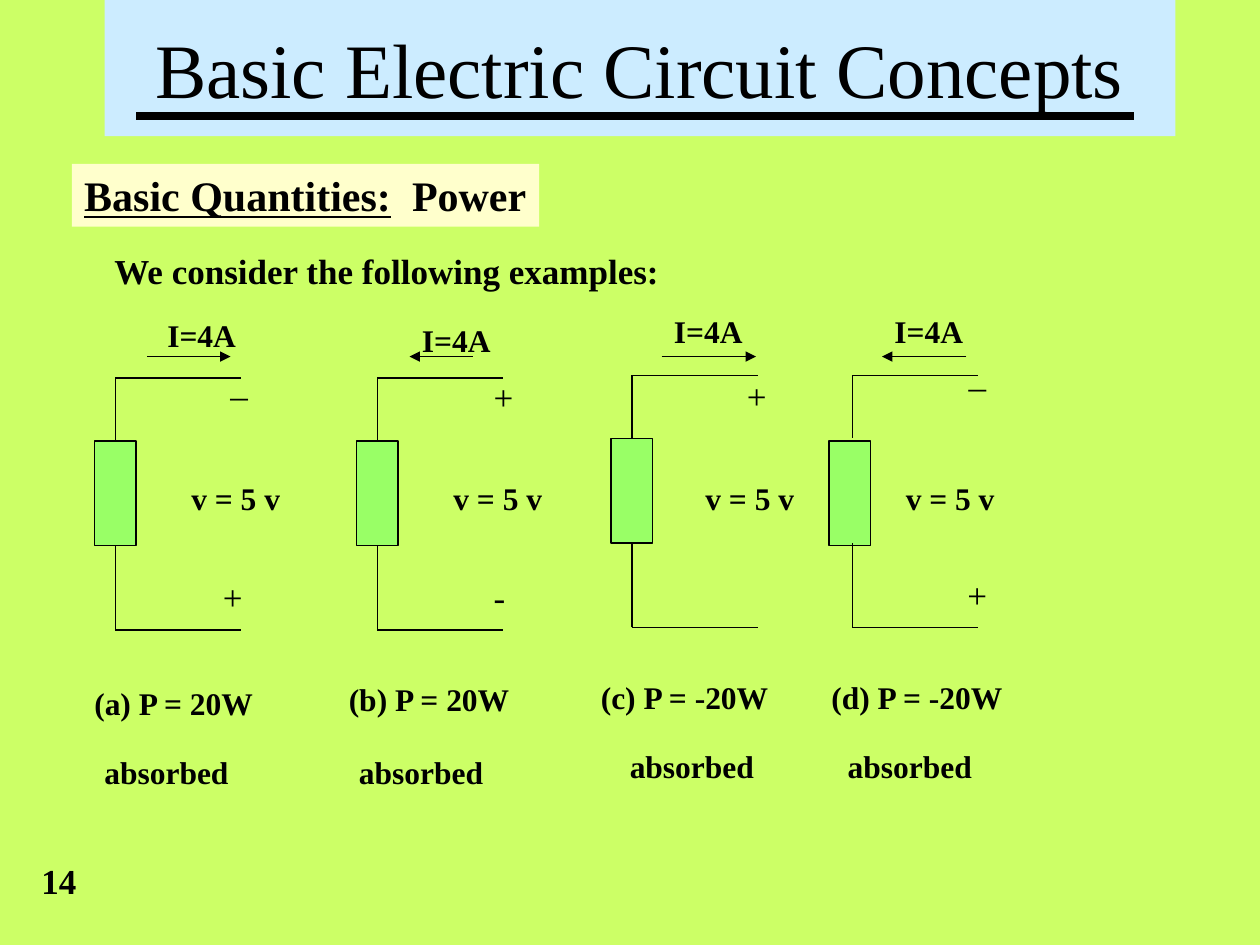
from dataclasses import dataclass
from typing import Optional

from lxml.etree import SubElement
from pptx import Presentation
from pptx.dml.color import RGBColor
from pptx.enum.shapes import MSO_CONNECTOR, MSO_SHAPE
from pptx.enum.text import MSO_ANCHOR, MSO_AUTO_SIZE, PP_ALIGN
from pptx.oxml.ns import qn
from pptx.shapes.autoshape import Shape
from pptx.shapes.connector import Connector
from pptx.util import Inches, Pt


@dataclass(frozen=True)
class Theme:
    page: RGBColor = RGBColor(0xCC, 0xFF, 0x66)
    banner: RGBColor = RGBColor(0xCC, 0xEC, 0xFF)
    label: RGBColor = RGBColor(0xFF, 0xFF, 0xCC)
    body: RGBColor = RGBColor(0x99, 0xFF, 0x66)
    ink: RGBColor = RGBColor(0, 0, 0)
    font: str = "Times New Roman"
    title: int = 44
    head: int = 24
    text: int = 20
    small: int = 18
    thin: float = 0.75
    thick: float = 4.5


@dataclass(frozen=True)
class Note:
    text: str
    x: float
    y: float
    width: float


@dataclass(frozen=True)
class Circuit:
    """Skew shifts the body away from its place on the wires."""
    x: float
    top: float
    arrow: tuple[float, float]
    signs: tuple[Note, ...]
    notes: tuple[Note, ...]
    skew: float = 0


THEME = Theme()
BODY_W, BODY_H = 0.33, 0.83
LEAD, REACH, DROP = 0.5, 1, 2
ARROW_Y = 2.83


def volt(x: float) -> Note:
    return Note("v = 5 v", x, 3.75, 0.92)


def amp(x: float, y: float) -> Note:
    return Note("I=4A", x, y, 0.76)


def power(text: str, x: float, y: float, width: float) -> Note:
    return Note(f"{text}W", x, y, width)


def result(x: float, y: float) -> Note:
    return Note("absorbed", x, y, 1.2)


CIRCUITS = (
    Circuit(0.75, 3, (1.17, 1.83),
            (Note("_", 1.73, 2.82, 0.34), Note("+", 1.67, 4.52, 0.35)),
            (volt(1.42), amp(1.23, 2.46),
             power("(a) P = 20", 0.65, 5.38, 1.48), result(0.73, 5.93))),
    Circuit(2.83, 3, (3.75, 3.25),
            (Note("+", 3.82, 2.93, 0.35), Note("-", 3.82, 4.52, 0.29)),
            (volt(3.5), amp(3.25, 2.5),
             power("(b) P = 20", 2.67, 5.35, 1.5), result(2.75, 5.93))),
    Circuit(4.85, 2.98, (5.25, 6),
            (Note("+", 5.83, 2.92, 0.35),),
            (volt(5.5), amp(5.25, 2.43),
             power("(c) P = -20", 4.67, 5.33, 1.55), result(4.9, 5.88))),
    Circuit(6.58, 2.98, (7.67, 7),
            (Note("_", 7.59, 2.75, 0.34), Note("+", 7.58, 4.5, 0.35)),
            (volt(7.09), amp(7, 2.43),
             power("(d) P = -20", 6.5, 5.33, 1.58), result(6.63, 5.88)),
            skew=0.02),
)


def add_box(slide, x: float, y: float, width: float, height: float,
            fill: RGBColor, edge: bool = False) -> Shape:
    box = slide.shapes.add_shape(MSO_SHAPE.RECTANGLE, Inches(x), Inches(y),
                                 Inches(width), Inches(height))
    box.shadow.inherit = False
    box.fill.solid()
    box.fill.fore_color.rgb = fill
    if edge:
        box.line.color.rgb = THEME.ink
        box.line.width = Pt(THEME.thin)
    else:
        box.line.fill.background()
    return box


def add_line(slide, x1: float, y1: float, x2: float, y2: float,
             width: float = THEME.thin, arrow: bool = False) -> Connector:
    line = slide.shapes.add_connector(MSO_CONNECTOR.STRAIGHT, Inches(x1),
                                      Inches(y1), Inches(x2), Inches(y2))
    line.line.color.rgb = THEME.ink
    line.line.width = Pt(width)
    if arrow:
        SubElement(line.line._get_or_add_ln(), qn("a:tailEnd"),
                   type="triangle")
    SubElement(line._element.spPr, qn("a:effectLst"))
    return line


def style(shape: Shape, size: int, bold: bool) -> None:
    for para in shape.text_frame.paragraphs:
        for run in para.runs:
            run.font.name = THEME.font
            run.font.size = Pt(size)
            run.font.bold = bold
            run.font.color.rgb = THEME.ink


def fit(shape: Shape) -> None:
    """Keep the text on one left-aligned line at the top."""
    frame = shape.text_frame
    frame.word_wrap = False
    frame.auto_size = MSO_AUTO_SIZE.SHAPE_TO_FIT_TEXT
    frame.vertical_anchor = MSO_ANCHOR.TOP
    frame.paragraphs[0].alignment = PP_ALIGN.LEFT


def add_note(slide, note: Note, size: int, bold: bool = True) -> None:
    height = 0.44 if size == THEME.text else 0.4
    box = slide.shapes.add_textbox(Inches(note.x), Inches(note.y),
                                   Inches(note.width), Inches(height))
    box.text_frame.text = note.text
    fit(box)
    style(box, size, bold)


def add_wire(slide, x: float, start: float, end: float,
             body: Optional[Shape], site: int) -> None:
    """Run a wire from its outer corner to the body, joined if one is given."""
    wire = add_line(slide, x, start, x, end)
    if body is not None:
        wire.end_connect(body, site)


def add_circuit(slide, item: Circuit) -> None:
    near = item.top + LEAD
    base = item.top + DROP
    x = item.x + BODY_W / 2 + item.skew
    body = add_box(slide, item.x, near + item.skew, BODY_W, BODY_H,
                   THEME.body, edge=True)
    joint = None if item.skew else body
    add_wire(slide, x, item.top, near, joint, 0)
    add_wire(slide, x, base, near + BODY_H, joint, 2)
    for y in (item.top, base):
        add_line(slide, x, y, x + REACH, y)
    start, end = item.arrow
    add_line(slide, start, ARROW_Y, end, ARROW_Y, arrow=True)
    for sign in item.signs:
        add_note(slide, sign, THEME.text, bold=False)
    for note in item.notes:
        add_note(slide, note, THEME.small)


def add_heads(slide) -> None:
    title = add_box(slide, 0.83, 0, 8.5, 1.08, THEME.banner)
    title.text_frame.text = "Basic Electric Circuit Concepts"
    title.text_frame.word_wrap = True
    title.text_frame.vertical_anchor = MSO_ANCHOR.MIDDLE
    title.text_frame.paragraphs[0].alignment = PP_ALIGN.CENTER
    style(title, THEME.title, False)
    add_line(slide, 1.08, 0.92, 9, 0.92, THEME.thick)

    topic = add_box(slide, 0.57, 1.3, 3.71, 0.5, THEME.label)
    para = topic.text_frame.paragraphs[0]
    para.text = "Basic Quantities:"
    para.runs[0].font.underline = True
    para.add_run().text = "  Power"
    fit(topic)
    style(topic, THEME.head, True)


def main() -> None:
    deck = Presentation()
    deck.slide_width, deck.slide_height = Inches(10), Inches(7.5)
    slide = deck.slides.add_slide(deck.slide_layouts[6])
    slide.background.fill.solid()
    slide.background.fill.fore_color.rgb = THEME.page
    add_heads(slide)
    add_note(slide, Note("We consider the following examples:",
                         0.81, 1.93, 4.54), THEME.text)
    for item in CIRCUITS:
        add_circuit(slide, item)
    add_note(slide, Note("14", 0.23, 6.77, 0.48), THEME.text)
    deck.save("out.pptx")


if __name__ == "__main__":
    main()
